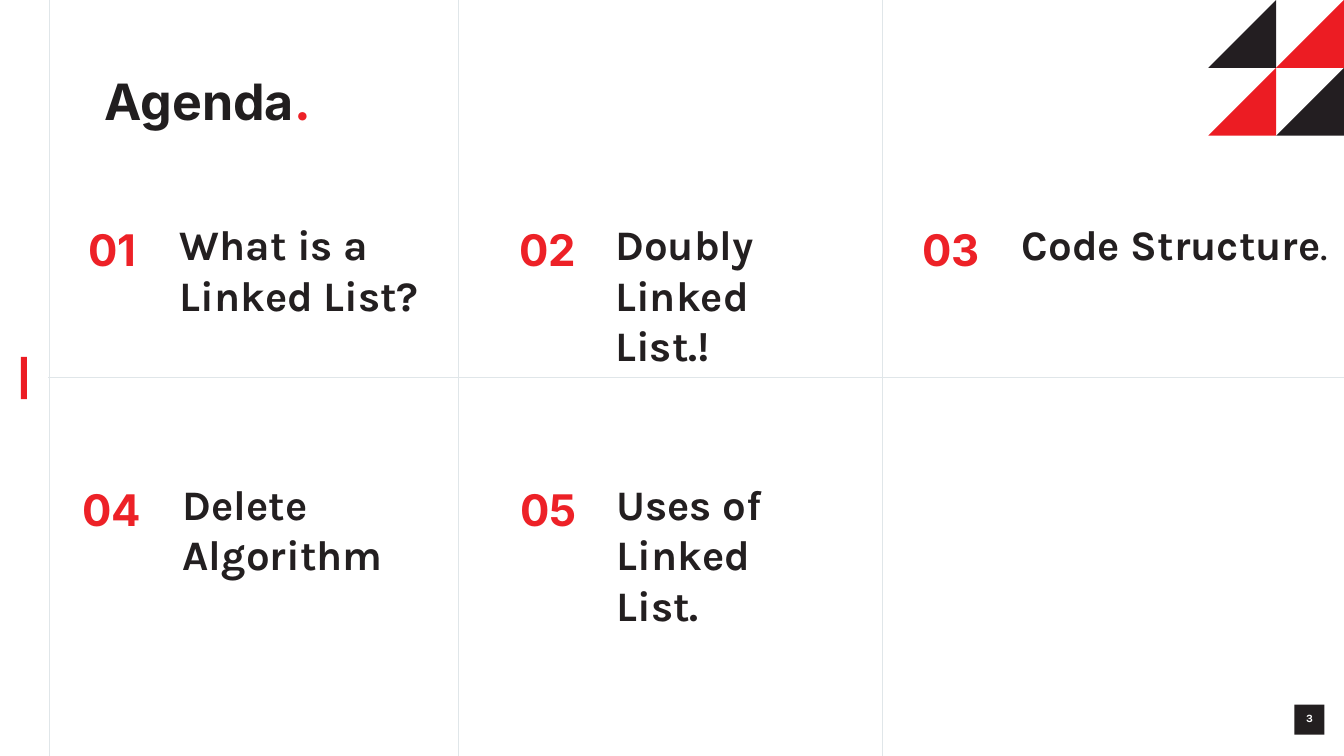
from pptx import Presentation
from pptx.dml.color import RGBColor
from pptx.enum.shapes import MSO_CONNECTOR, MSO_SHAPE
from pptx.oxml.ns import qn
from pptx.util import Pt
from lxml import etree

PX = 9144
WIDE, HIGH = 2199, 1237
LINE = MSO_CONNECTOR.STRAIGHT
RECT = MSO_SHAPE.RECTANGLE
COLOR = {
    "ink": "231F20",
    "title": "211E1F",
    "dark": "231E21",
    "red": "EC1C23",
    "digit": "ED2127",
    "rule": "E0E6E9",
    "white": "FFFFFF",
}
TOPICS = [
    ("01", 135, 272, 293, 444, ["What is a Linked List?"]),
    ("02", 840, 272, 1006, 357, ["Doubly Linked List.!"]),
    ("03", 1499, 272, 1671, 533, ["Code Structure", "."]),
    ("04", 125, 697, 298, 441, ["Delete Algorithm"]),
    ("05", 842, 697, 1008, 334, ["Uses of Linked List."]),
]


def rgb(name):
    return RGBColor.from_string(COLOR[name])


def paint(shape, color):
    shape.shadow.inherit = False
    shape.fill.solid()
    shape.fill.fore_color.rgb = rgb(color)
    shape.line.fill.background()


def add_rect(slide, x, y, w, h, color):
    shape = slide.shapes.add_shape(RECT, x * PX, y * PX, w * PX, h * PX)
    paint(shape, color)


def add_wedge(slide, x, y, side, color):
    pen = slide.shapes.build_freeform(x + side, y, scale=PX)
    pen.add_line_segments([(x, y + side), (x + side, y + side)])
    paint(pen.convert_to_shape(), color)


def add_rule(slide, x1, y1, x2, y2):
    rule = slide.shapes.add_connector(LINE, x1 * PX, y1 * PX, x2 * PX, y2 * PX)
    rule.line.color.rgb = rgb("rule")
    rule.line.width = Pt(0.82)
    etree.SubElement(rule._element.spPr, qn("a:effectLst"))


def add_text(slide, x, y, w, h, parts, font, size, color, left=1, top=2):
    box = slide.shapes.add_textbox(x * PX, y * PX, w * PX, h * PX)
    frame = box.text_frame
    frame.word_wrap = True
    frame.margin_left, frame.margin_top = left * PX, top * PX
    frame.margin_right = frame.margin_bottom = 0
    for part in parts:
        run = frame.paragraphs[0].add_run()
        run.text = part
        run.font.name = font
        run.font.size = Pt(size)
        run.font.bold = True
        run.font.color.rgb = rgb(color)
    return frame.paragraphs[0].runs


def add_topic(slide, digits, x, y, left, width, parts):
    runs = add_text(slide, left, y + 84, width, 169, parts, "Karla", 49.5, "ink")
    for run in runs[1:]:
        run.font.bold = False
    runs = add_text(slide, x, y, 328, 169, [digits], "Inter", 88.5, "digit", 10, 10)
    runs[0].font._element.set("baseline", "-25000")


def main():
    deck = Presentation()
    deck.slide_width, deck.slide_height = WIDE * PX, HIGH * PX
    slide = deck.slides.add_slide(deck.slide_layouts[6])

    for x in (80, 750, 1443):
        add_rule(slide, x, 0, x, HIGH)
    add_rule(slide, 79, 618, WIDE, 618)

    side = 111
    for row in range(2):
        for col in range(2):
            color = "dark" if row == col else "red"
            add_wedge(slide, WIDE - (2 - col) * side, row * side, side, color)

    add_rect(slide, 34, 584, 10, 69, "red")
    add_rect(slide, 2118, 1153, 49, 49, "ink")
    add_text(slide, 2133, 1163, 29, 27, ["3"], "Karla", 13, "white", 4, 1)

    title = add_text(slide, 170, 113, 394, 102, ["Agenda", "."], "Inter", 59, "title")
    title[1].font.color.rgb = rgb("digit")
    for topic in TOPICS:
        add_topic(slide, *topic)

    deck.save("out.pptx")


if __name__ == "__main__":
    main()
